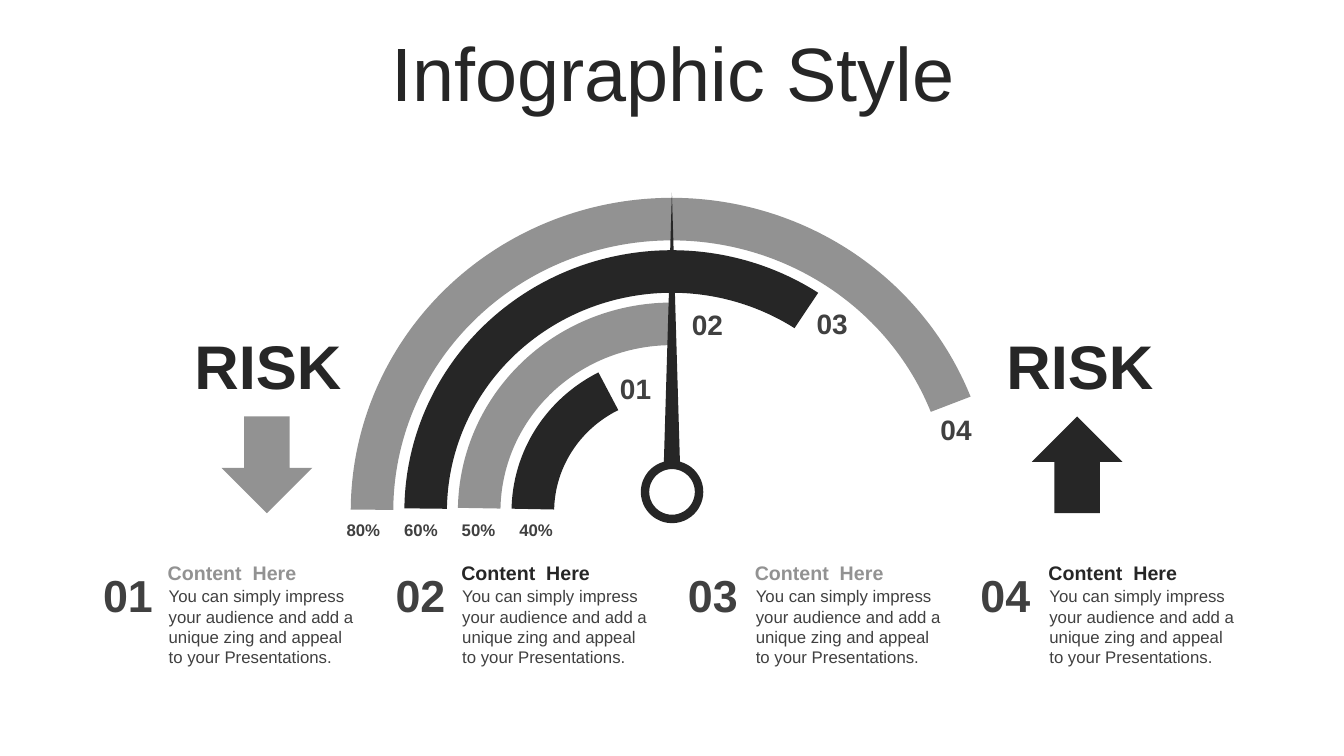
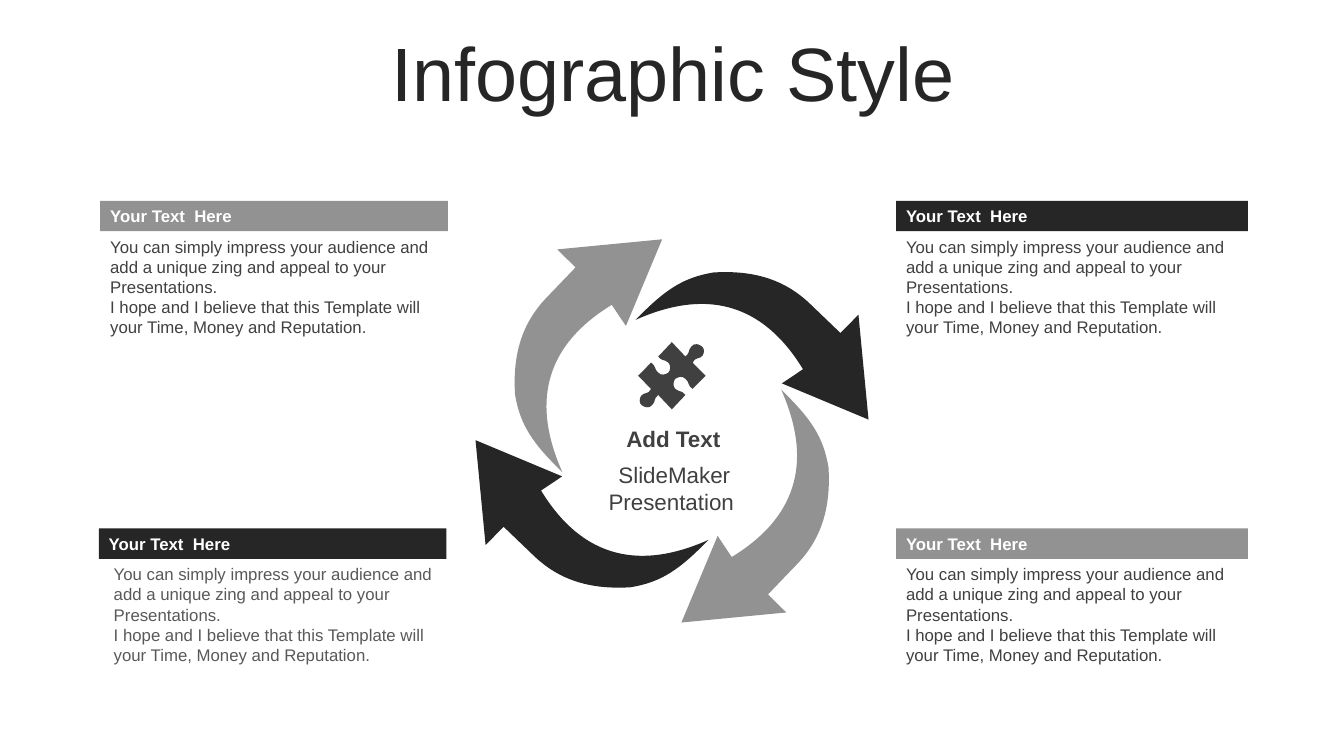
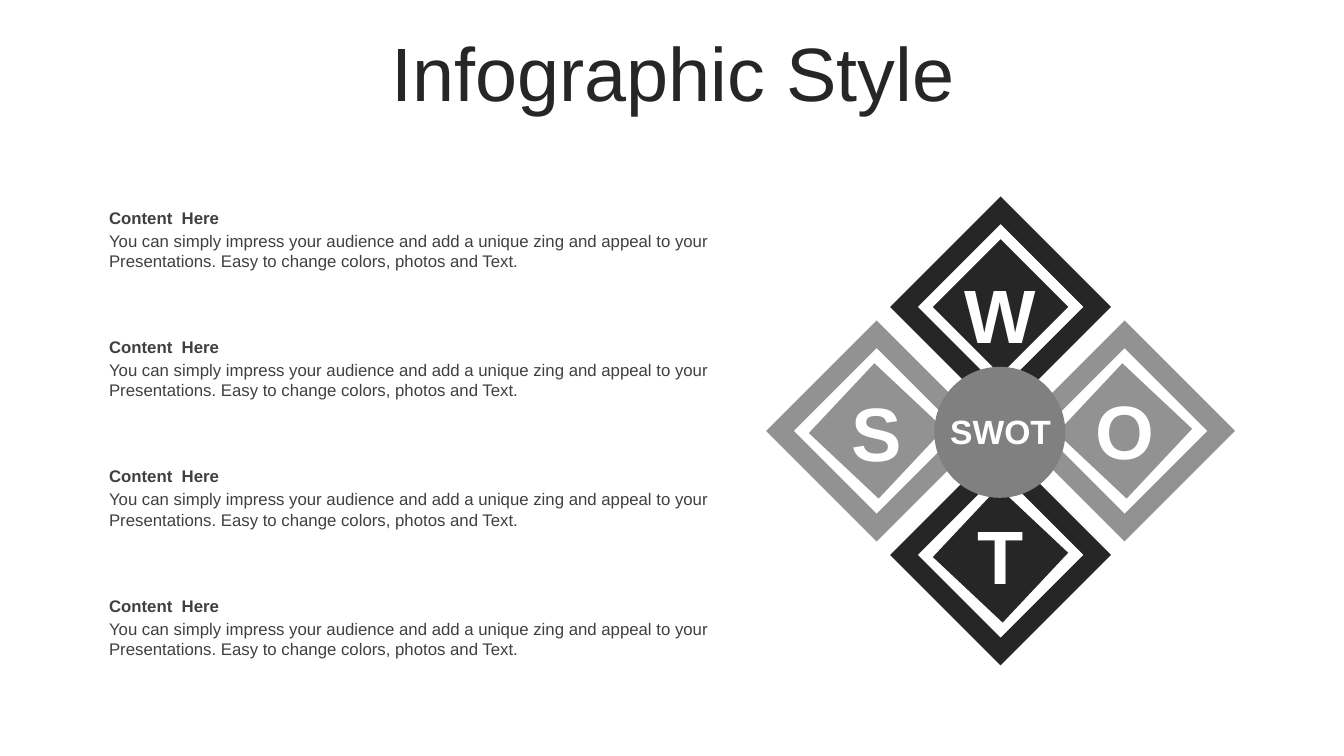
from math import cos, radians, sin

from lxml.etree import SubElement
from pptx import Presentation
from pptx.dml.color import RGBColor
from pptx.enum.shapes import MSO_SHAPE
from pptx.enum.text import MSO_ANCHOR, PP_ALIGN
from pptx.oxml.ns import qn
from pptx.util import Pt

# Shared style
DARK = RGBColor(0x26, 0x26, 0x26)
GREY = RGBColor(0x92, 0x92, 0x92)
MID_GREY = RGBColor(0x80, 0x80, 0x80)
TEXT = RGBColor(0x40, 0x40, 0x40)
SOFT_TEXT = RGBColor(0x59, 0x59, 0x59)
WHITE = RGBColor(0xFF, 0xFF, 0xFF)
FONT = "Arial"
CENTER = PP_ALIGN.CENTER
MIDDLE = MSO_ANCHOR.MIDDLE

IMPRESS = ("You can simply impress your audience and add a unique zing "
           "and appeal to your Presentations.")
HOPE = ("I hope and I believe that this Template will your Time, "
        "Money and Reputation.")
EASY = IMPRESS + " Easy to change colors, photos and Text."

# Outlines about their own centre: pairs are corners, sixes are Bezier curves
CYCLE_ARROW = [
    (59, -22), (66.2, 52.9), (4.3, 27), (19.4, 16.9),
    (-14.4, -38.5, -59.8, -36.4, -100.1, -18.4),
    (-79.2, -40, -66.2, -48.6, -44.6, -52.2),
    (-10.1, -54.4, 10.8, -43.6, 26.6, -27.7),
    (46.1, -9),
]
HALF_PUZZLE = [
    (21.2, -21.2),
    (23.4, -20, 23.4, -16.6, 22, -14.4),
    (19.8, -11.5, 16.9, -13.7, 14.8, -9.4),
    (24.1, 0), (14.8, 9.4),
    (11.2, 7.2, 12.6, 4.3, 9.7, 2.2),
    (7.6, 0, 4.7, 0.7, 2.5, 2.2),
    (1.1, 3.6, 0.4, 7.2, 2.5, 9.4),
    (6.1, 12.2, 6.8, 10.1, 9.7, 13.7),
    (0, 24), (-9.7, 13.7),
    (-13.3, 16.6, -11.2, 18, -14, 20.9),
    (-16.2, 23.8, -19.8, 22.3, -21.2, 21.2),
]


def write(s, paragraphs, size, color=TEXT, bold=False, align=PP_ALIGN.LEFT,
          anchor=MSO_ANCHOR.TOP, spacing=None, kern=None):
    """Fill a shape with paragraphs of one format."""
    tf = s.text_frame
    tf.word_wrap = True
    tf.vertical_anchor = anchor
    fmt = {"name": FONT, "size": Pt(size), "bold": bold}
    for i, line in enumerate(paragraphs):
        p = tf.add_paragraph() if i else tf.paragraphs[0]
        p.alignment = align
        if spacing:
            p.line_spacing = spacing
        r = p.add_run()
        r.text = line
        for name, value in fmt.items():
            setattr(r.font, name, value)
        r.font.color.rgb = color
        if kern:
            r._r.get_or_add_rPr().set("kern", str(kern))


def add_text(slide, x, y, w, h, *paragraphs, **style):
    s = slide.shapes.add_textbox(Pt(x), Pt(y), Pt(w), Pt(h))
    write(s, paragraphs, **style)


def paint(s, color):
    s.shadow.inherit = False
    s.fill.solid()
    s.fill.fore_color.rgb = color
    s.line.fill.background()


def add_shape(slide, kind, x, y, w, h, color, rotation=0, adjustments=()):
    s = slide.shapes.add_shape(kind, Pt(x), Pt(y), Pt(w), Pt(h))
    paint(s, color)
    s.rotation = rotation
    for i, value in enumerate(adjustments):
        s.adjustments[i] = value
    return s


def add_centred(slide, kind, cx, cy, size, color, rotation=0):
    return add_shape(slide, kind, cx - size / 2, cy - size / 2, size, size,
                     color, rotation)


def pairs(part):
    return list(zip(part[::2], part[1::2]))


def turn(outline, angle):
    """Rotate every corner and curve about the outline's centre."""
    c, s = cos(radians(angle)), sin(radians(angle))
    return [tuple(v for x, y in pairs(part) for v in (x * c - y * s, x * s + y * c))
            for part in outline]


def add_outline(slide, outline, cx, cy, color, rotation):
    """Build a freeform through the corners, then bend its curved sides."""
    parts = [[(Pt(cx + x), Pt(cy + y)) for x, y in pairs(part)] for part in outline]
    corners = [part[-1] for part in parts]
    builder = slide.shapes.build_freeform(*corners[0], scale=1.0)
    builder.add_line_segments(corners[1:], close=True)
    s = builder.convert_to_shape()
    sides = list(s._element.iter(qn("a:lnTo")))
    for side, part in zip(sides, parts[1:]):
        if len(part) == 3:
            side.tag = qn("a:cubicBezTo")
            side.clear()
            for x, y in part:
                SubElement(side, qn("a:pt"), x=str(x - s.left), y=str(y - s.top))
    paint(s, color)
    s.rotation = rotation


def new_slide(prs):
    slide = prs.slides.add_slide(prs.slide_layouts[6])
    add_text(slide, 25.2, 26.64, 911.52, 56.88, "Infographic Style", size=54,
             color=DARK, align=CENTER, anchor=MIDDLE, spacing=0.9, kern=1200)
    return slide


def add_gauge_slide(prs):
    slide = new_slide(prs)
    label = {"bold": True, "align": CENTER}

    # Gauge rings, outermost first, with their end angles
    for i, (start, end) in enumerate([(180.3, 339), (180.66, 303.8),
                                      (180.98, 269.9), (181.06, 242.2)]):
        height = 447.84 - 74.7 * i
        add_shape(slide, MSO_SHAPE.BLOCK_ARC, 250.56 + 38.28 * i,
                  141.3 + 37.44 * i, 458.64 - 76.56 * i, height,
                  DARK if i % 2 else GREY,
                  adjustments=(start * 0.6, end * 0.6, 30.4 / height))

    # Needle
    add_shape(slide, MSO_SHAPE.DONUT, 457.7, 329.04, 44.64, 44.64, DARK,
              adjustments=(0.135,))
    add_shape(slide, MSO_SHAPE.ISOSCELES_TRIANGLE, 474.2, 137.52, 11.52,
              192.96, DARK)

    # Ring labels
    for i, percent in enumerate(["80%", "60%", "50%", "40%"]):
        add_text(slide, 231.84 + 41.14 * i, 367.92, 55.44, 21.6, percent,
                 size=12, anchor=MIDDLE, **label)
    for number, x, y in [("01", 434.16, 262.08), ("02", 485.5, 216),
                         ("03", 574.56, 215.28), ("04", 663.12, 290.88)]:
        add_text(slide, x, y, 39.6, 31.68, number, size=20, **label)

    # Risk signs
    for x, kind, arrow_x, color in [(128.4, MSO_SHAPE.DOWN_ARROW, 158.3, GREY),
                                    (708.48, MSO_SHAPE.UP_ARROW, 737, DARK)]:
        add_text(slide, x, 230.4, 126, 60.48, "RISK", size=44, color=DARK, **label)
        add_shape(slide, kind, arrow_x, 297.5, 64.8, 69.12, color)

    # Numbered notes
    for i in range(4):
        x = 112.7 + 209.7 * i
        add_text(slide, 61.2 + 208.9 * i, 401.76, 60.48, 46.08, f"{i + 1:02}",
                 size=32, **label)
        add_text(slide, x, 397, 148.32, 24.48, "Content  Here", size=14,
                 color=DARK if i % 2 else GREY, bold=True, anchor=MIDDLE)
        add_text(slide, x + 0.72, 415.1, 148.32, 65.52, IMPRESS, size=12)


def add_cycle_slide(prs):
    slide = new_slide(prs)

    # Arrow ring, a quarter turn apart
    arrow = turn(CYCLE_ARROW, -225)
    for i, (cx, cy) in enumerate([(554.4, 247.4), (539.5, 378.7),
                                  (406.08, 367.2), (420.6, 237.4)]):
        add_outline(slide, arrow, cx, cy, GREY if i % 2 else DARK,
                    (225 + 90 * i) % 360)

    # Centre
    puzzle = turn(HALF_PUZZLE + turn(HALF_PUZZLE, 180)[1:], -45)
    add_outline(slide, puzzle, 479.88, 268.4, TEXT, 45)
    add_text(slide, 422.64, 300.24, 116.64, 26.64, "Add Text", size=16,
             bold=True, align=CENTER)
    add_text(slide, 423.36, 326.16, 116.64, 46.08, "SlideMaker Presentation ",
             size=16, align=CENTER)

    # Corner panels
    for x, y, w, color, body_x, body_color in [
            (71.6, 143.4, 248.4, GREY, 71.6, TEXT),
            (640.08, 143.4, 251.28, DARK, 640.08, TEXT),
            (70.56, 377.4, 248.4, DARK, 74.16, SOFT_TEXT),
            (640.08, 377.4, 251.28, GREY, 640.08, TEXT)]:
        bar = add_shape(slide, MSO_SHAPE.RECTANGLE, x, y, w, 21.8, color)
        write(bar, ["Your Text  Here"], size=12, color=WHITE, bold=True)
        add_text(slide, body_x, y + 21.9, w, 79.92, IMPRESS, HOPE, size=12,
                 color=body_color)


def add_swot_slide(prs):
    slide = new_slide(prs)

    # Notes
    for i in range(4):
        y = 144.72 + 92.3 * i
        add_text(slide, 70.8, y, 445.68, 21.6, "Content  Here", size=12,
                 bold=True, anchor=MIDDLE)
        add_text(slide, 70.8, y + 16.56, 445.68, 36, EASY, size=12)

    # Diamonds around the centre: column, row, tilt, letter drop
    cx, cy, step = 714.7, 307.8, 88.56
    for letter, col, row, color, tilt, drop in [
            ("W", 0, -1, DARK, 315, 5), ("O", 1, 0, GREY, 313.2, -0.5),
            ("S", -1, 0, GREY, 313.2, 0.7), ("T", 0, 1, DARK, 313.2, 0)]:
        x, y = cx + col * step, cy + row * step
        add_centred(slide, MSO_SHAPE.RECTANGLE, x, y, 68.4, color, tilt)
        add_centred(slide, MSO_SHAPE.FRAME, x, y, 111.6, color, 45)
        add_text(slide, x - 42.5, y - 36.36 + drop, 85, 72.72, letter, size=54,
                 color=WHITE, bold=True, align=CENTER)
    add_centred(slide, MSO_SHAPE.OVAL, cx - 0.5, cy + 1, 93.6, MID_GREY)
    add_text(slide, cx - 50.76, 290.16, 101.52, 36, "SWOT", size=24,
             color=WHITE, bold=True, align=CENTER)


def main():
    prs = Presentation()
    prs.slide_width, prs.slide_height = Pt(960), Pt(540)
    add_gauge_slide(prs)
    add_cycle_slide(prs)
    add_swot_slide(prs)
    prs.save("out.pptx")


if __name__ == "__main__":
    main()
